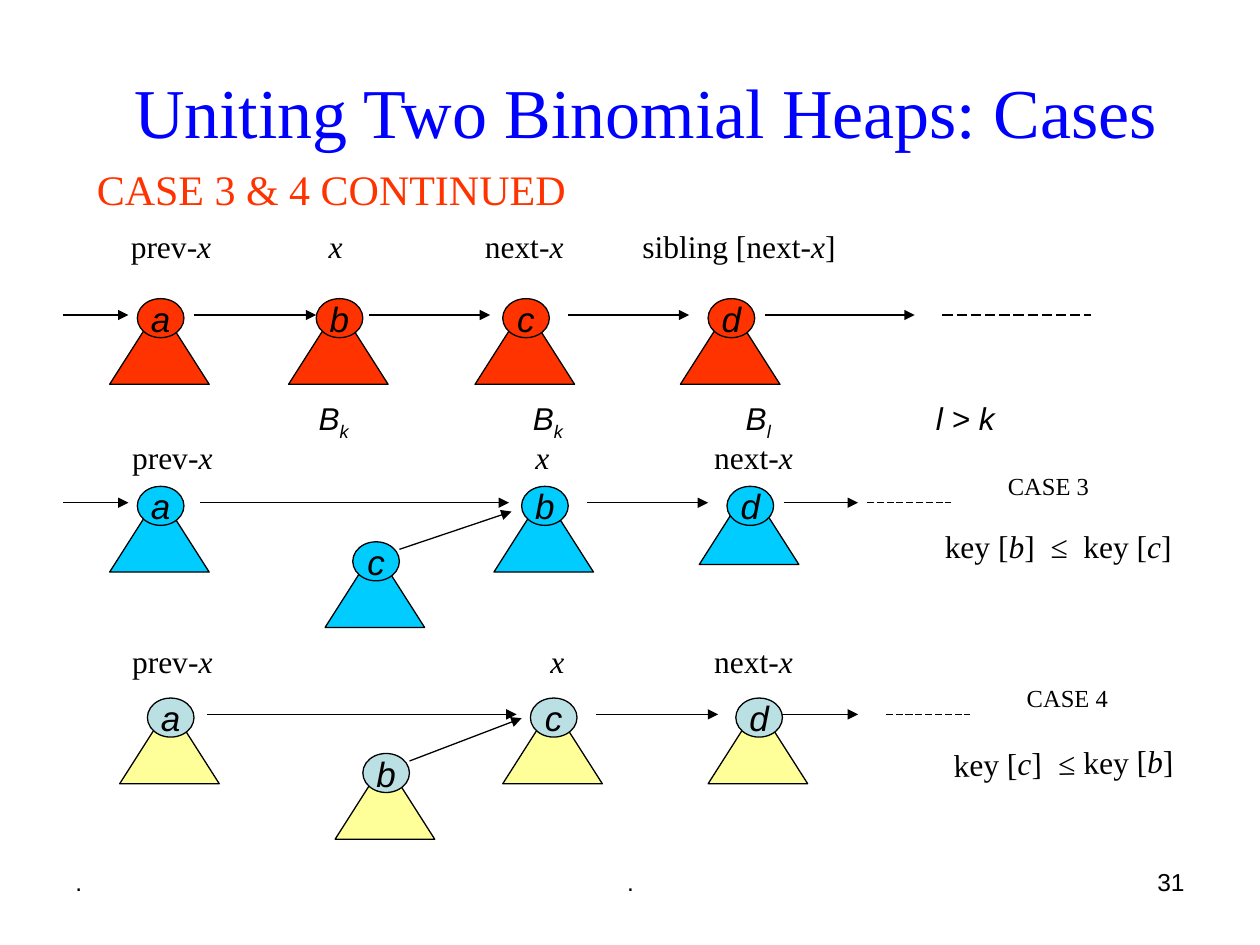
from dataclasses import dataclass

from lxml.etree import SubElement
from pptx import Presentation
from pptx.dml.color import RGBColor
from pptx.enum.dml import MSO_LINE
from pptx.enum.shapes import MSO_CONNECTOR, MSO_SHAPE
from pptx.enum.text import MSO_ANCHOR, PP_ALIGN
from pptx.oxml.ns import qn
from pptx.slide import Slide
from pptx.util import Inches, Pt

COLORS = {
    "ink": "000000",
    "title": "0000FF",
    "red": "FF3300",
    "blue": "00CCFF",
    "yellow": "FFFF99",
    "teal": "BBE0E3",
}


def color(name):
    return RGBColor.from_string(COLORS[name])


@dataclass
class HeapSlide:
    """Draws labels, heap trees and links on one slide in a shared style."""

    slide: Slide
    serif: str = "Times New Roman"
    sans: str = "Arial"
    line_width: float = 0.75

    def label(self, place, text, size=18, font=None, ink="ink", align=PP_ALIGN.LEFT,
              anchor=MSO_ANCHOR.TOP, tabs=(), subscript=False):
        box = self.slide.shapes.add_textbox(*map(Inches, place))
        frame = box.text_frame
        frame.word_wrap = True
        frame.vertical_anchor = anchor
        para = frame.paragraphs[0]
        para.alignment = align
        if tabs:
            stops = SubElement(para._p.get_or_add_pPr(), qn("a:tabLst"))
            for stop in tabs:
                SubElement(stops, qn("a:tab"), pos=str(Inches(stop)), algn="l")
        for index, chunk in enumerate(text.split("|")):
            span = para.add_run()
            span.text = chunk
            span.font.name = font or self.serif
            span.font.size = Pt(size)
            span.font.color.rgb = color(ink)
            span.font.italic = subscript or index % 2 == 1
            if subscript and index % 2:
                span._r.get_or_add_rPr().set("baseline", "-25000")
        return box

    def outline(self, kind, place, fill):
        shape = self.slide.shapes.add_shape(kind, *map(Inches, place))
        shape.shadow.inherit = False
        shape.fill.solid()
        shape.fill.fore_color.rgb = color(fill)
        shape.line.color.rgb = color("ink")
        shape.line.width = Pt(self.line_width)
        return shape

    def tree(self, name, left, top, tree_fill, root_fill, drop=0.06):
        self.outline(MSO_SHAPE.ISOSCELES_TRIANGLE, (left - 0.22, top + drop, 0.79, 0.62), tree_fill)
        root = self.outline(MSO_SHAPE.OVAL, (left, top, 0.37, 0.31), root_fill)
        frame = root.text_frame
        frame.text = name
        frame.word_wrap = False
        frame.vertical_anchor = MSO_ANCHOR.MIDDLE
        para = frame.paragraphs[0]
        para.alignment = PP_ALIGN.CENTER
        span = para.runs[0]
        span.font.name = self.sans
        span.font.size = Pt(20)
        span.font.italic = True
        span.font.color.rgb = color("ink")

    def link(self, start, end, dashed=False, width=None):
        link = self.slide.shapes.add_connector(
            MSO_CONNECTOR.STRAIGHT, *map(Inches, (*start, *end)))
        link.line.color.rgb = color("ink")
        link.line.width = Pt(width or self.line_width)
        properties = link._element.spPr
        if dashed:
            link.line.dash_style = MSO_LINE.LONG_DASH
        else:
            SubElement(properties.find(qn("a:ln")), qn("a:tailEnd"), type="triangle")
        SubElement(properties, qn("a:effectLst"))


def main():
    deck = Presentation()
    deck.slide_width, deck.slide_height = Inches(10), Inches(7.5)
    page = HeapSlide(deck.slides.add_slide(deck.slide_layouts[6]))

    footers = [
        (0.5, 2.33, ".", PP_ALIGN.LEFT),
        (3.42, 3.17, ".", PP_ALIGN.CENTER),
        (7.17, 2.33, "31", PP_ALIGN.RIGHT),
    ]
    for left, width, text, align in footers:
        page.label((left, 6.83, width, 0.52), text, 14, page.sans, align=align)

    link_rows = [
        (2.5, [(0.5, 1.02), (1.54, 2.51), (2.93, 3.89), (4.51, 5.47), (6.07, 7.26)]),
        (3.99, [(0.5, 1.02), (1.59, 4.04), (4.66, 5.62), (6.22, 6.81)]),
        (5.67, [(1.64, 4.1), (4.73, 5.7), (6.21, 6.81)]),
    ]
    for y, spans in link_rows:
        for start, end in spans:
            page.link((start, y), (end, y))
    page.link((3.17, 4.36), (4.06, 4.06))
    page.link((3.25, 6.04), (4.14, 5.7))
    for start, end, y, width in [(7.48, 8.66, 2.5, 0.75), (6.88, 7.55, 3.99, 0.5), (7.03, 7.7, 5.67, 0.5)]:
        page.link((start, y), (end, y), dashed=True, width=width)

    page.label((0.94, 1.75, 6.93, 0.4), "prev|-x\tx\t|next|-x\t|sibling [next|-x|]",
               tabs=(1.57, 2.81, 4.06))
    for top, x_stop in [(3.43, 3.2), (5.05, 3.32)]:
        page.label((0.95, top, 6.09, 0.4), "prev|-x\tx\t|next|-x", tabs=(x_stop, 4.62))
    page.label((2.43, 3.12, 5.92, 0.44), "B|k|\tB|k|\tB|l|\tl > k", font=page.sans,
               tabs=(1.7, 3.39, 4.9), subscript=True)
    page.label((7.9, 3.69, 1.21, 0.34), "CASE 3", 14)
    page.label((7.4, 4.13, 2.26, 0.4), "key [|b|]\t≤\tkey [|c|]", tabs=(0.84, 1.1))
    page.label((8.05, 5.37, 1.21, 0.34), "CASE 4", 14)
    condition = page.label((7.47, 5.85, 2.11, 0.4), "key [|c|]\t≤ key [|b|]", tabs=(0.83,))
    condition.rotation = -1.1

    tree_rows = [
        (2.37, "red", "red", [("a", 1.09), ("b", 2.51), ("c", 3.99), ("d", 5.62)]),
        (3.86, "blue", "blue", [("a", 1.09), ("b", 4.14)]),
        (4.3, "blue", "blue", [("c", 2.8)]),
        (5.54, "yellow", "teal", [("a", 1.17), ("c", 4.21), ("d", 5.84)]),
        (5.98, "yellow", "teal", [("b", 2.88)]),
    ]
    for top, tree_fill, root_fill, trees in tree_rows:
        for name, left in trees:
            page.tree(name, left, top, tree_fill, root_fill)
    page.tree("d", 5.77, 3.86, "blue", "blue", drop=0)

    page.label((0.5, 0.25, 9.25, 1.25), "Uniting Two Binomial Heaps: Cases", 40, ink="title",
               align=PP_ALIGN.CENTER, anchor=MSO_ANCHOR.MIDDLE)
    page.label((0.67, 1.25, 4.5, 0.58), "CASE 3 & 4 CONTINUED", 24, ink="red")
    deck.save("out.pptx")


if __name__ == "__main__":
    main()
